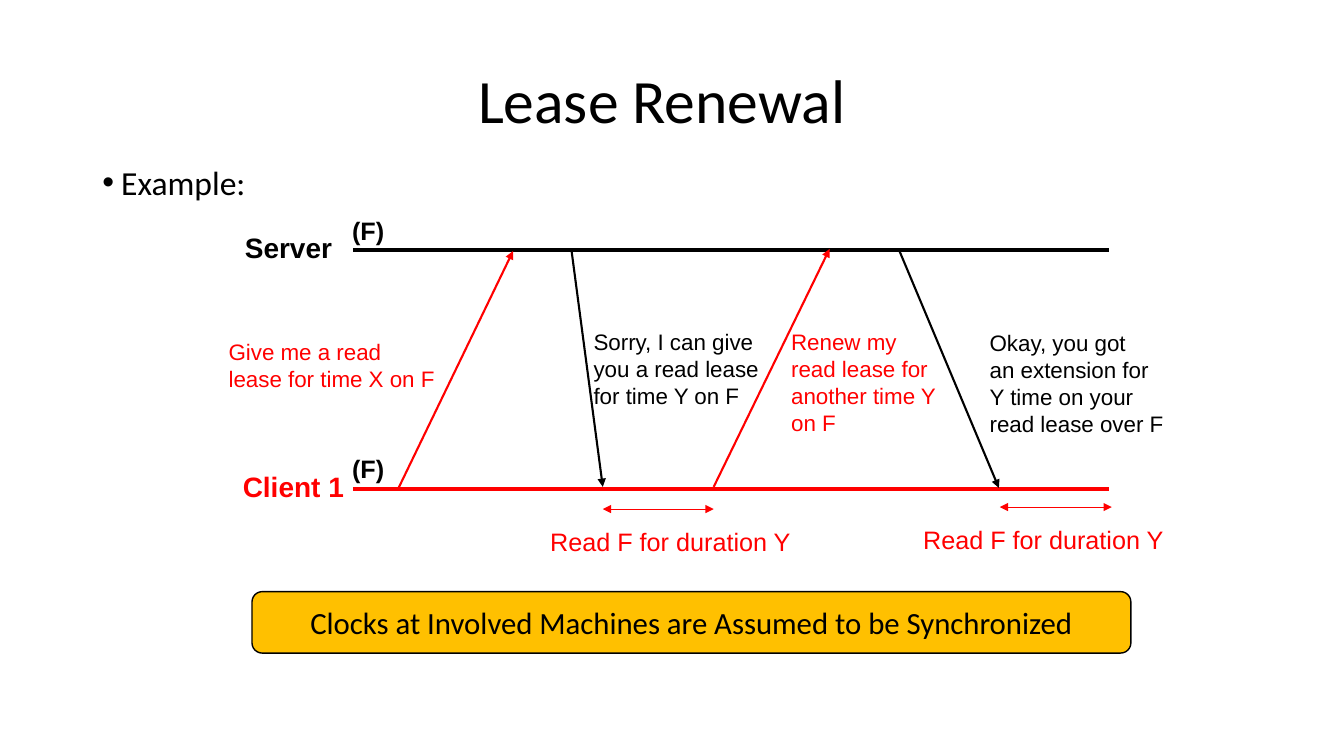
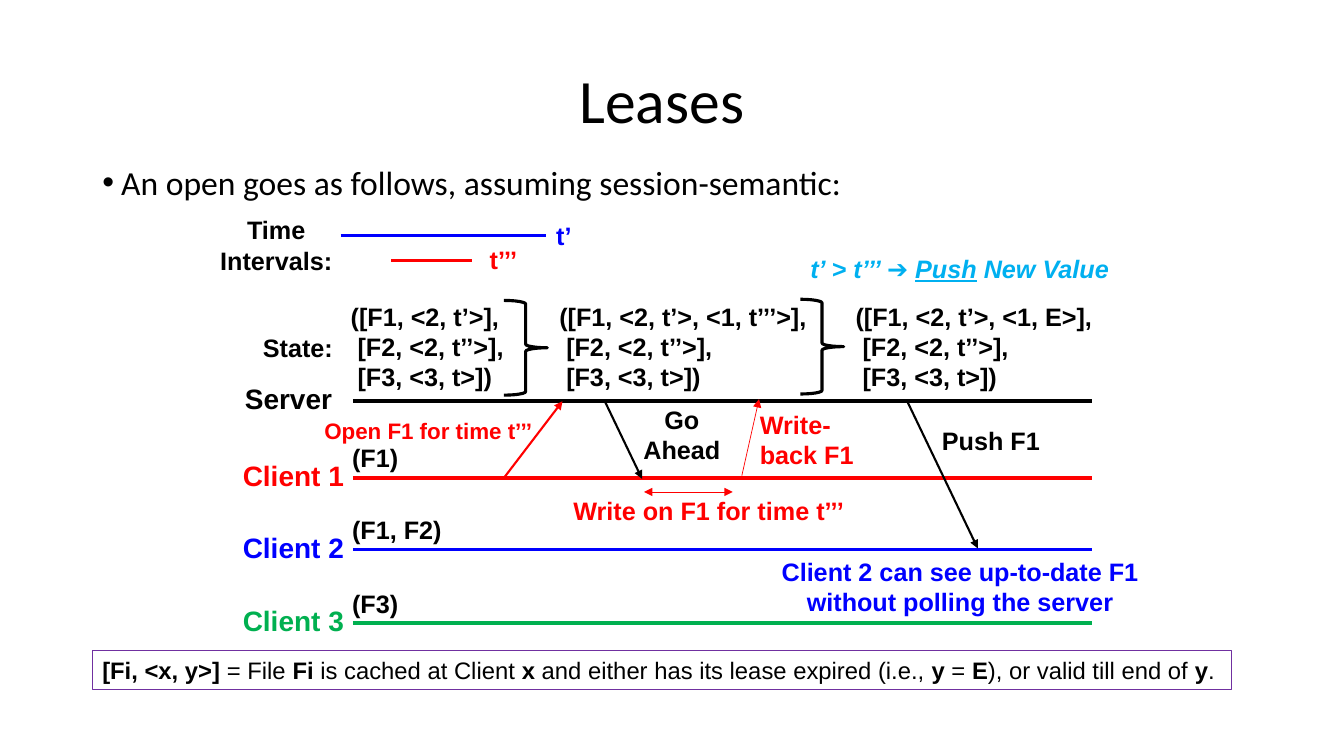
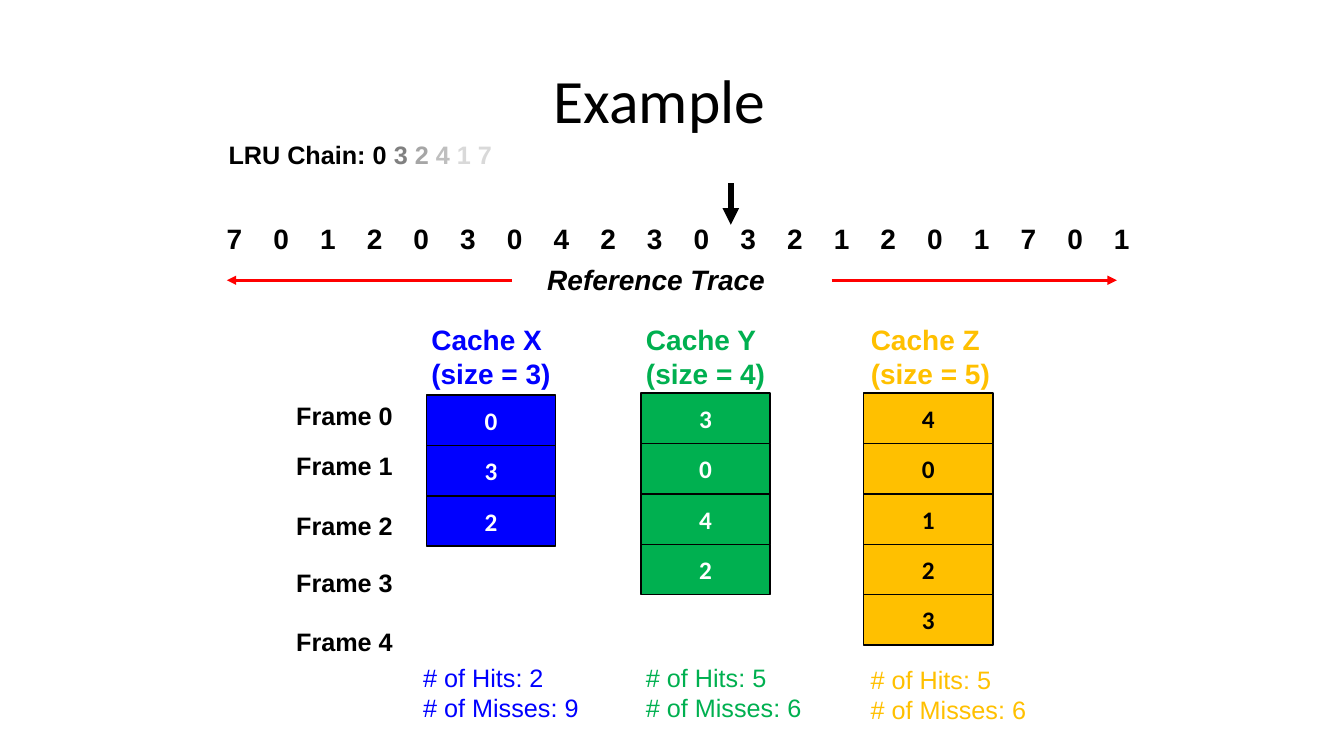
from lxml import etree
from pptx import Presentation
from pptx.dml.color import RGBColor
from pptx.enum.shapes import MSO_CONNECTOR, MSO_SHAPE
from pptx.enum.text import MSO_ANCHOR, MSO_AUTO_SIZE, PP_ALIGN
from pptx.oxml.ns import qn
from pptx.util import Pt

# Shared look
BLACK, WHITE, RED, BLUE = "000000", "FFFFFF", "FF0000", "0000FF"
GREEN, GOLD, PURPLE, SKY = "00B050", "FFC000", "7030A0", "00B0F0"
HEAD_FONT, BODY_FONT = "Calibri", "Arial"
LEFT, CENTER = PP_ALIGN.LEFT, PP_ALIGN.CENTER
MARGIN, CONTENT_W = 66, 813.6
LINE_START = 252


def rgb(color):
    return RGBColor.from_string(color)


# Text
def write(tf, lines, size, color=BLACK, font=BODY_FONT, bold=False,
          italic=False, align=LEFT):
    """Fill a frame; a line is a string or a list of (text, changes) pairs."""
    for i, line in enumerate(lines):
        p = tf.paragraphs[0] if i == 0 else tf.add_paragraph()
        p.alignment = align
        for text, changes in [(line, {})] if isinstance(line, str) else line:
            r = p.add_run()
            r.text = text
            r.font.name, r.font.size = font, Pt(size)
            r.font.bold = changes.get("bold", bold)
            r.font.italic = italic
            r.font.underline = changes.get("underline", False)
            r.font.color.rgb = rgb(changes.get("color", color))


def label(s, lines, x, y, w, size=18, wrap=False, **style):
    height = len(lines) * size * 1.2 + 7.2
    sp = s.shapes.add_textbox(Pt(x), Pt(y), Pt(w), Pt(height))
    tf = sp.text_frame
    tf.word_wrap = wrap
    tf.auto_size = MSO_AUTO_SIZE.SHAPE_TO_FIT_TEXT
    write(tf, lines, size, **style)
    return tf


def bullet(s, text):
    tf = label(s, [text], MARGIN, 115.2, CONTENT_W, 24, wrap=True,
               font=HEAD_FONT)
    p = tf.paragraphs[0]
    p.line_spacing = 0.9
    ppr = p._p.get_or_add_pPr()
    ppr.set("marL", str(Pt(13.5)))
    ppr.set("indent", str(-Pt(13.5)))
    etree.SubElement(ppr, qn("a:buFont")).set("typeface", BODY_FONT)
    etree.SubElement(ppr, qn("a:buChar")).set("char", "•")


def add_slide(prs, title, x=MARGIN, w=CONTENT_W):
    s = prs.slides.add_slide(prs.slide_layouts[5])
    sp = s.shapes.title
    sp.left, sp.top, sp.width, sp.height = Pt(x), Pt(21.6), Pt(w), Pt(104.4)
    tf = sp.text_frame
    tf.vertical_anchor = MSO_ANCHOR.MIDDLE
    write(tf, [title], 44, font=HEAD_FONT, align=CENTER)
    tf.paragraphs[0].line_spacing = 0.9
    return s


# Shapes and lines
def box(s, kind, x, y, w, h, line_width, fill=None, line=BLACK):
    sp = s.shapes.add_shape(kind, Pt(x), Pt(y), Pt(w), Pt(h))
    sp.shadow.inherit = False
    if fill:
        sp.fill.solid()
        sp.fill.fore_color.rgb = rgb(fill)
    else:
        sp.fill.background()
    sp.line.color.rgb = rgb(line)
    sp.line.width = Pt(line_width)
    tf = sp.text_frame
    tf.word_wrap = True
    tf.vertical_anchor = MSO_ANCHOR.MIDDLE
    return tf


def connect(s, x1, y1, x2, y2, color, width, ends=()):
    c = s.shapes.add_connector(MSO_CONNECTOR.STRAIGHT,
                               Pt(x1), Pt(y1), Pt(x2), Pt(y2))
    c.line.color.rgb = rgb(color)
    c.line.width = Pt(width)
    sppr = c._element.spPr
    for end in ends:
        etree.SubElement(sppr.find(qn("a:ln")), qn(end)).set("type", "triangle")
    etree.SubElement(sppr, qn("a:effectLst"))


def arrow(s, x1, y1, x2, y2, color, width=1.5):
    connect(s, x1, y1, x2, y2, color, width, ["a:tailEnd"])


def span(s, x1, x2, y):
    connect(s, x1, y, x2, y, RED, 0.5, ["a:headEnd", "a:tailEnd"])


def timeline(s, name, x, w, y, end, color, held=None, held_w=0):
    """A machine's name and line, with the files it holds above the start."""
    connect(s, LINE_START, y, end, y, color, 2.5)
    label(s, [name], x, y - 17.3, w, 20, color=color, bold=True)
    if held:
        label(s, [held], 244.4, y - 28.6, held_w, bold=True)


# Slides
def lease_renewal(prs):
    s = add_slide(prs, "Lease Renewal")
    bullet(s, "Example:")
    timeline(s, "Server", 167.8, 77, 178.6, 792, BLACK, "(F)", 37.4)
    timeline(s, "Client 1", 166.3, 87.1, 349.2, 792, RED, "(F)", 37.4)

    # Messages between client and server
    for x1, y1, x2, y2, color in [
            (284.4, 349.2, 366.5, 179.3, RED),
            (408.2, 178.6, 430.6, 347.8, BLACK),
            (509.8, 347.8, 592.6, 177.8, RED),
            (642.2, 178.6, 713.5, 348.5, BLACK)]:
        arrow(s, x1, y1, x2, y2, color)
    for x, y, color, lines in [
            (156.2, 238.3, RED, ["Give me a read", "lease for time X on F"]),
            (416.9, 231.1, BLACK,
             ["Sorry, I can give", "you a read lease", "for time Y on F"]),
            (558, 231.1, RED,
             ["Renew my", "read lease for", "another time Y", "on F"]),
            (699.8, 231.8, BLACK,
             ["Okay, you got", "an extension for", "Y time on your",
              "read lease over F"])]:
        label(s, lines, x, y, 188.6, 16, wrap=True, color=color)

    # Reading periods
    for x1, x2, y, text_x in [(430.6, 509.8, 363.6, 385.9),
                              (714.2, 794.2, 362.2, 652.3)]:
        span(s, x1, x2, y)
        label(s, ["Read F for duration Y"], text_x, y + 8.6, 187.9, color=RED)

    tf = box(s, MSO_SHAPE.ROUNDED_RECTANGLE, 180, 422.6, 627.8, 43.9, 1, GOLD)
    write(tf, ["Clocks at Involved Machines are Assumed to be Synchronized"],
          22, font=HEAD_FONT, align=CENTER)


def leases(prs):
    s = add_slide(prs, "Leases")
    bullet(s, "An open goes as follows, assuming session-semantic:")
    timeline(s, "Server", 167.8, 77, 286.6, 779.8, BLACK)
    for name, y, color, held, held_w in [
            ("Client 1", 341.3, RED, "(F1)", 47.5),
            ("Client 2", 392.4, BLUE, "(F1, F2)", 79.2),
            ("Client 3", 445, GREEN, "(F3)", 47.5)]:
        timeline(s, name, 166.3, 87.1, y, 779.8, color, held, held_w)

    # Time intervals
    label(s, ["Time", "Intervals:"], 149.8, 149.8, 95, bold=True, align=CENTER)
    for x1, x2, y, color, text, text_x, w in [
            (243.4, 390.2, 168.5, BLUE, "t’", 390.2, 27.4),
            (279.4, 337, 185.8, RED, "t’’’", 342.7, 47.5)]:
        connect(s, x1, y, x2, y, color, 2.25)
        label(s, [text], text_x, y - 14.8, w, wrap=True, color=color, bold=True)

    # Server states
    label(s, ["State:"], 180.7, 234, 64.8, bold=True)
    for x, w, first in [(243.4, 129.6, "([F1, <2, t’>],"),
                        (392.4, 198, "([F1, <2, t’>, <1, t’’’>],"),
                        (604.1, 190.1, "([F1, <2, t’>, <1, E>],")]:
        label(s, [first, " [F2, <2, t’’>],", " [F3, <3, t>])"],
              x, 211.7, w, bold=True)
    for x, y in [(360, 214.6), (571.7, 213.8)]:
        box(s, MSO_SHAPE.RIGHT_BRACE, x, y, 31, 67.7, 2.25)
    label(s, [[("t’ > t’’’ ➔ ", {}), ("Push", {"underline": True}),
               (" New Value", {})]],
          571.7, 177.1, 234, color=SKY, bold=True, italic=True)

    # Messages between clients and server
    for x1, y1, x2, y2, color, width in [
            (360, 341.3, 401.8, 286.6, RED, 1.5),
            (432, 286.6, 458.6, 342, BLACK, 1.5),
            (529.9, 339.8, 542.2, 285.1, RED, 0.5),
            (648, 286.6, 698.4, 391.7, BLACK, 1.5)]:
        arrow(s, x1, y1, x2, y2, color, width)
    span(s, 460.1, 523.4, 351.4)
    for lines, x, y, w, size, color, align in [
            (["Open F1 for time t’’’"], 224.6, 294.5, 165.6, 16, RED, LEFT),
            (["Go", "Ahead"], 452.2, 285.1, 69.8, 18, BLACK, CENTER),
            (["Write on F1 for time t’’’"], 402.5, 350.6, 209.5, 18, RED, LEFT),
            (["Write-", "back F1"], 535.7, 288.7, 82.1, 18, RED, LEFT),
            (["Push F1"], 665.3, 300.2, 85, 18, BLACK, CENTER),
            (["Client 2 can see up-to-date F1", "without polling the server"],
             547.2, 393.8, 277.2, 18, BLUE, CENTER)]:
        label(s, lines, x, y, w, size, color=color, bold=True, align=align)

    # Notation, with its symbols in bold
    strong = {"bold": True}
    tf = box(s, MSO_SHAPE.RECTANGLE, MARGIN, 464.4, CONTENT_W, 28.1, 0.75,
             line=PURPLE)
    write(tf, [[("[Fi, <x, y>] ", strong), ("= File ", {}), ("Fi", strong),
                (" is cached at Client ", {}), ("x", strong),
                (" and either has its lease expired (i.e., ", {}),
                ("y", strong), (" = ", {}), ("E", strong),
                ("), or valid till end of ", {}), ("y", strong),
                (".", {})]], 17)


def cache_example(prs):
    s = add_slide(prs, "Example", 138.2, 666)
    label(s, [[("LRU Chain: 0 ", {}), ("3 ", {"color": "808080"}),
               ("2 ", {"color": "A6A6A6"}), ("4 ", {"color": "BFBFBF"}),
               ("1 7", {"color": "D9D9D9"})]], 156.2, 95.8, 204.5, bold=True)

    # Reference trace, spaced by tab stops
    trace = "70120304230321201701"
    tf = label(s, ["\t".join(trace)], 154.8, 154.8, 678.2, 20, wrap=True,
               bold=True)
    ppr = tf.paragraphs[0]._p.get_or_add_pPr()
    tabs = etree.SubElement(ppr, qn("a:tabLst"))
    for i in range(1, len(trace)):
        tab = etree.SubElement(tabs, qn("a:tab"))
        tab.set("pos", str(Pt(33.36 * i)))
        tab.set("algn", "l")
    arrow(s, 522, 131, 522, 160.6, BLACK, 4)
    label(s, ["Reference Trace"], 383.8, 183.6, 170.6, 20, bold=True,
          italic=True)
    for x1, x2 in [(365.8, 162), (594, 797.8)]:
        arrow(s, x1, 200.2, x2, 200.2, RED, 2.25)

    # Frame names
    for i, y in enumerate([282.2, 318.2, 360.7, 402, 443.5]):
        label(s, [f"Frame {i}"], 204.5, y, 84.2, bold=True)

    # Caches: heading, frames, score
    for name, pages, hits, misses, x, y, head_x, score_x, score_y, fill, ink in [
            ("X", "032", 2, 9, 304.6, 282.2, 301, 295.2, 469.4, BLUE, WHITE),
            ("Y", "3042", 5, 6, 457.9, 280.8, 454.3, 454.3, 469.4, GREEN, WHITE),
            ("Z", "40123", 5, 6, 617, 280.8, 614.9, 614.9, 470.9, GOLD, BLACK)]:
        label(s, [f"Cache {name}", f"(size = {len(pages)})"],
              head_x, 226.8, 100.1, 20, color=fill, bold=True)
        for i, page in enumerate(pages):
            tf = box(s, MSO_SHAPE.RECTANGLE, x, y + 36 * i, 92.2, 36, 1, fill)
            write(tf, [page], 18, ink, HEAD_FONT, bold=True, align=CENTER)
        label(s, [f"# of Hits: {hits}", f"# of Misses: {misses}"],
              score_x, score_y, 126.7, color=fill)


def main():
    prs = Presentation()
    prs.slide_width, prs.slide_height = Pt(960), Pt(540)
    lease_renewal(prs)
    leases(prs)
    cache_example(prs)
    prs.save("out.pptx")


if __name__ == "__main__":
    main()
